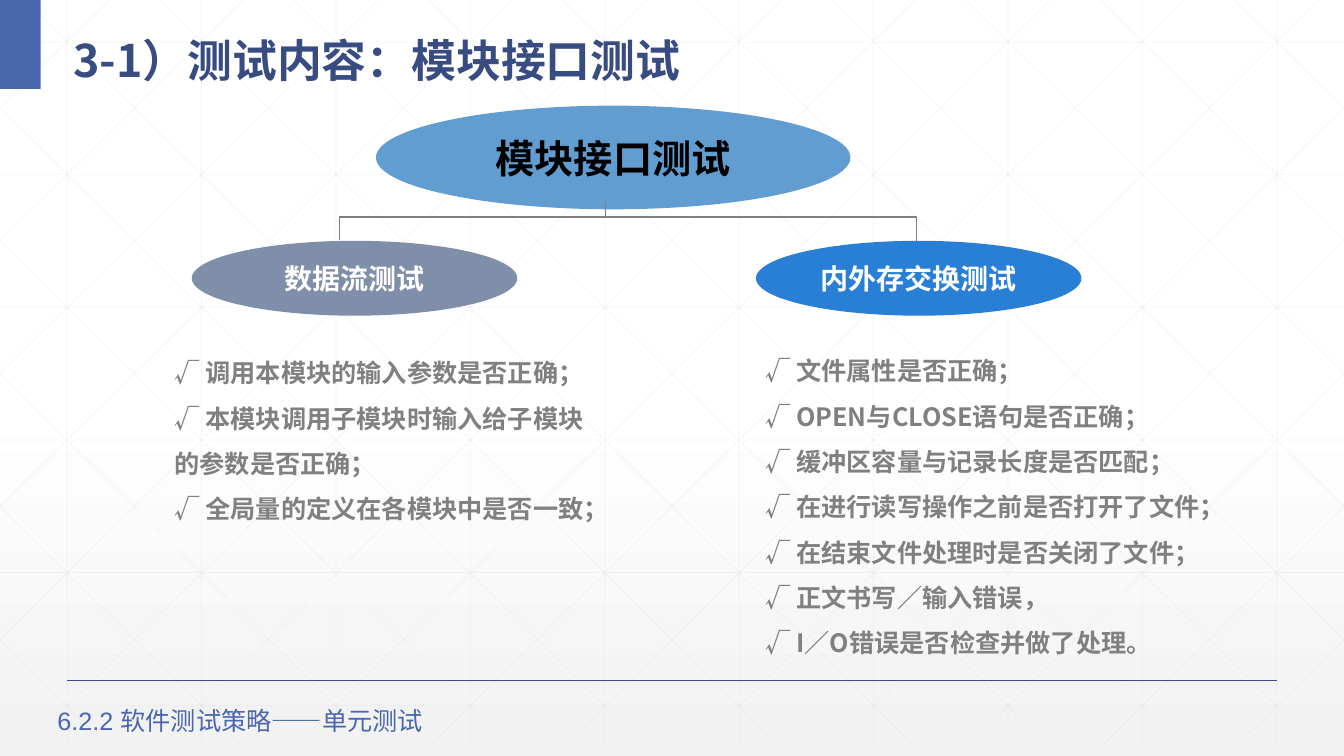
import lxml.etree
import pptx
import pptx.dml.color
import pptx.enum.shapes
import pptx.enum.text
import pptx.oxml.ns
import pptx.util

Pt = pptx.util.Pt
ALIGN = pptx.enum.text.PP_ALIGN
ANCHOR = pptx.enum.text.MSO_ANCHOR

COLOURS = {
    "white": "FFFFFF", "black": "000000", "backdrop": "F2F2F2", "grid": "D9D9D9",
    "navy": "384C81", "accent": "4A66AC", "sky": "629DD1", "slate": "7F8FA9",
    "blue": "297FD5", "grey": "808080",
}
CJK_FONT = "Noto Sans CJK SC"
WIDTH, HEIGHT = 960, 540
GRID_BOTTOM, GRID_STEP = 531, 96
DIAGONAL_RUN = 537

DATA_FLOW_CHECKS = [
    "√ 调用本模块的输入参数是否正确；",
    "√ 本模块调用子模块时输入给子模块的参数是否正确；",
    "√ 全局量的定义在各模块中是否一致；",
]
STORAGE_CHECKS = [
    "√ 文件属性是否正确；",
    "√ OPEN与CLOSE语句是否正确；",
    "√ 缓冲区容量与记录长度是否匹配；",
    "√ 在进行读写操作之前是否打开了文件；",
    "√ 在结束文件处理时是否关闭了文件；",
    "√ 正文书写／输入错误，",
    "√ I／O错误是否检查并做了处理。",
]


def rgb(colour):
    return pptx.dml.color.RGBColor.from_string(COLOURS[colour])


def set_values(target, values):
    for name, value in values.items():
        setattr(target, name, value)


def add_child(parent, tag, **attributes):
    return lxml.etree.SubElement(parent, pptx.oxml.ns.qn(tag), **attributes)


class SlideBuilder:
    """Holds the slide and its style; all lengths are in points."""

    def __init__(self, slide):
        self.slide = slide
        self.shapes = slide.shapes

    def background(self):
        fill = self.slide.background.fill
        fill.gradient()
        fill.gradient_angle = 270
        stops = ((0.53, "white"), (1.0, "backdrop"))
        for stop, (position, colour) in zip(fill.gradient_stops, stops):
            stop.position = position
            stop.color.rgb = rgb(colour)

    def line(self, start, end, colour, width, opacity=None):
        connector = self.shapes.add_connector(
            pptx.enum.shapes.MSO_CONNECTOR.STRAIGHT, *map(Pt, (*start, *end)))
        connector.line.width = Pt(width)
        connector.line.color.rgb = rgb(colour)
        properties = connector._element.spPr
        if opacity:
            colour_element = next(properties.iter(pptx.oxml.ns.qn("a:srgbClr")))
            add_child(colour_element, "a:alpha", val=str(opacity * 1000))
        add_child(properties, "a:effectLst")

    def grid(self):
        """Draws the faint grid with diagonals clipped to the slide edges."""
        slope = GRID_BOTTOM / DIAGONAL_RUN
        lines = [((x, 0), (x, GRID_BOTTOM)) for x in range(48, WIDTH, GRID_STEP)]
        for row in range(6):
            y = 30 + 94.75 * row
            lines.append(((0, y), (WIDTH, y)))
        for column in range(-5, 10):
            origin = 18 + GRID_STEP * column
            left, right = max(origin, 0), min(origin + DIAGONAL_RUN, WIDTH)
            top, bottom = ((x - origin) * slope for x in (left, right))
            lines.append(((left, top), (right, bottom)))
            lines.append(((WIDTH - left, top), (WIDTH - right, bottom)))
        for start, end in lines:
            self.line(start, end, "grid", 0.5, opacity=25)

    def bracket(self, points):
        builder = self.shapes.build_freeform(*map(Pt, points[0]))
        builder.add_line_segments([tuple(map(Pt, point)) for point in points[1:]], close=False)
        shape = builder.convert_to_shape()
        shape.shadow.inherit = False
        shape.fill.background()
        shape.line.width = Pt(1)
        shape.line.color.rgb = rgb("grey")

    def shape(self, kind, box, colour):
        shape = self.shapes.add_shape(kind, *map(Pt, box))
        shape.shadow.inherit = False
        shape.fill.solid()
        shape.fill.fore_color.rgb = rgb(colour)
        shape.line.fill.background()
        return shape

    def ellipse(self, box, colour, text, size, text_colour="white"):
        shape = self.shape(pptx.enum.shapes.MSO_SHAPE.OVAL, box, colour)
        self.fill_text(shape, [text], size, text_colour, alignment=ALIGN.CENTER,
                       anchor=ANCHOR.MIDDLE, wrap=False)

    def placeholder(self, index, box, lines, size, colour, **layout):
        shape = self.slide.placeholders[index]
        set_values(shape, dict(zip(("left", "top", "width", "height"), map(Pt, box))))
        self.shapes._spTree.append(shape._element)  # bring in front of the grid
        self.fill_text(shape, lines, size, colour, **layout)

    def text(self, box, text, size, colour, **layout):
        shape = self.shapes.add_textbox(*map(Pt, box))
        self.fill_text(shape, [text], size, colour, **layout)

    def fill_text(self, shape, lines, size, colour, bold=True, font=CJK_FONT,
                  alignment=ALIGN.LEFT, anchor=ANCHOR.TOP, spacing=1.0, wrap=True):
        frame = shape.text_frame
        set_values(frame, {"word_wrap": wrap, "vertical_anchor": anchor,
                           "auto_size": pptx.enum.text.MSO_AUTO_SIZE.NONE})
        frame.text = "\n".join(lines)
        for paragraph in frame.paragraphs:
            set_values(paragraph, {"alignment": alignment, "line_spacing": spacing,
                                   "space_before": Pt(0), "space_after": Pt(0)})
            properties = paragraph._p.get_or_add_pPr()
            properties.set("marL", "0")
            properties.set("indent", "0")
            add_child(properties, "a:buNone")
            for run in paragraph.runs:
                set_values(run.font, {"name": font, "size": Pt(size), "bold": bold})
                run.font.color.rgb = rgb(colour)
                add_child(run._r.get_or_add_rPr(), "a:ea", typeface=CJK_FONT)


def main():
    presentation = pptx.Presentation()
    set_values(presentation, {"slide_width": Pt(WIDTH), "slide_height": Pt(HEIGHT)})
    two_content_layout = presentation.slide_layouts[3]
    builder = SlideBuilder(presentation.slides.add_slide(two_content_layout))

    builder.background()
    builder.grid()
    builder.line((48, 486), (912, 486), "navy", 1)
    builder.shape(pptx.enum.shapes.MSO_SHAPE.RECTANGLE, (0, 0, 29, 63.5), "accent")
    builder.placeholder(0, (45, 10, 868, 53), ["3-1）测试内容：模块接口测试"], 32, "navy",
                        anchor=ANCHOR.MIDDLE, spacing=1.3)

    builder.ellipse((268.5, 75.5, 339, 74), "sky", "模块接口测试", 28, "black")
    builder.ellipse((137, 172, 232.5, 53.5), "slate", "数据流测试", 20)
    builder.ellipse((540, 172, 232.5, 53.5), "blue", "内外存交换测试", 20)
    builder.bracket([(242.5, 171.5), (242.5, 155), (654.5, 155), (654.5, 172.5)])
    builder.line((432.5, 155), (432.5, 144), "grey", 1)

    builder.placeholder(1, (117.5, 241, 307.5, 135.5), DATA_FLOW_CHECKS, 18, "grey", spacing=1.5)
    builder.placeholder(2, (539.5, 239.5, 359.5, 231), STORAGE_CHECKS, 18, "grey", spacing=1.5)
    builder.text((34, 500.5, 332.5, 29), "6.2.2 软件测试策略——单元测试", 18, "accent",
                 bold=False, font="Arial")
    presentation.save("out.pptx")


if __name__ == "__main__":
    main()
